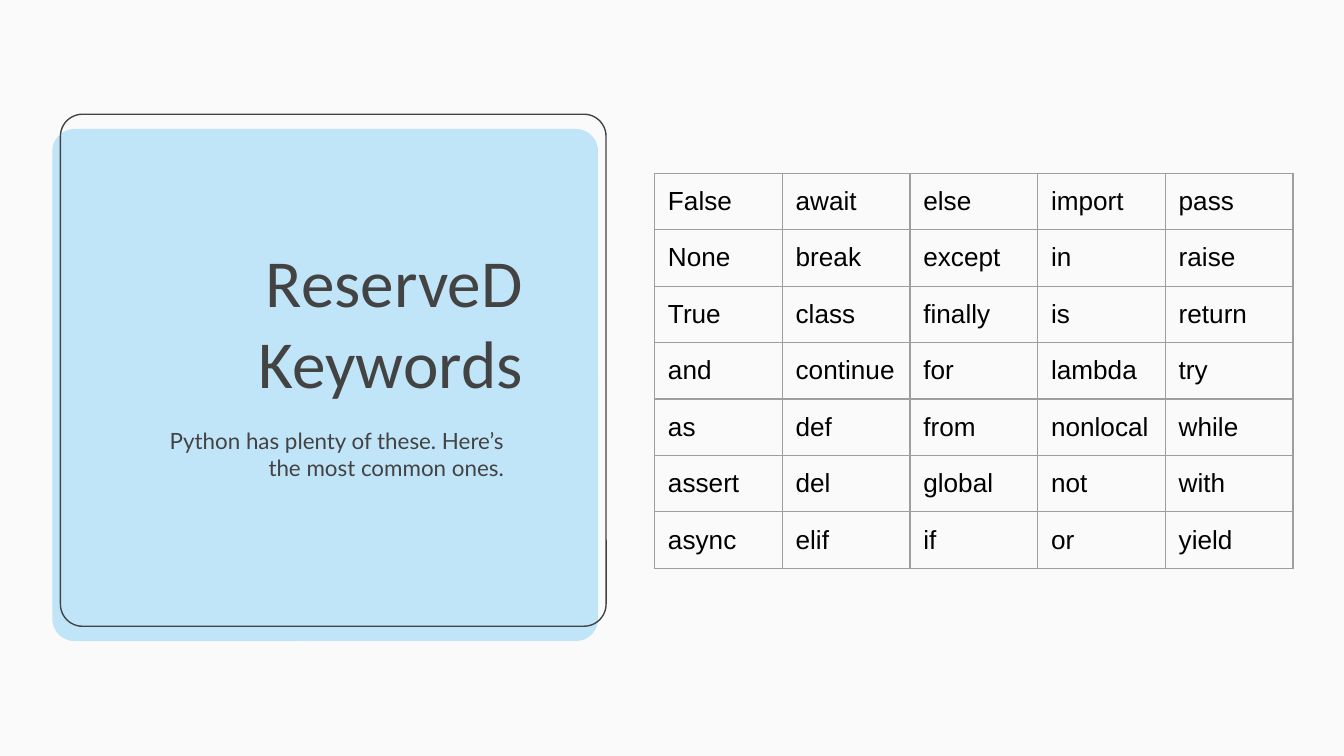
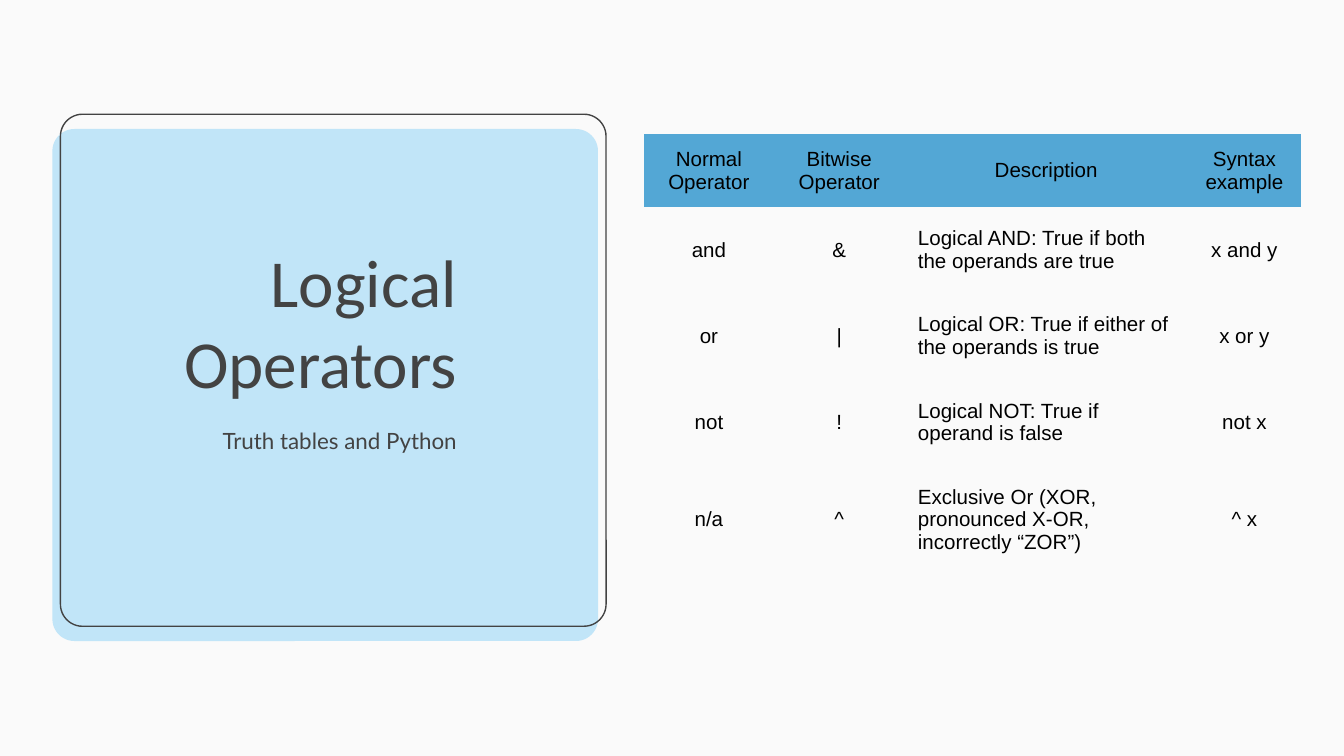
from dataclasses import dataclass

import pptx
import pptx.dml.color
import pptx.enum.shapes
import pptx.enum.text
import pptx.oxml
import pptx.oxml.ns
import pptx.util

Inches = pptx.util.Inches
Pt = pptx.util.Pt
Align = pptx.enum.text.PP_ALIGN
Anchor = pptx.enum.text.MSO_ANCHOR


@dataclass(frozen=True)
class Theme:
    background: str = "FAFAFA"
    panel: str = "C1E5F8"
    ink: str = "434343"
    cell_ink: str = "000000"
    header: str = "53A7D5"
    grid: str = "9E9E9E"
    title_font: str = "Calibri"
    subtitle_font: str = "Lato"
    table_font: str = "Arial"
    title_size: int = 36
    subtitle_size: int = 12
    keyword_size: int = 14
    operator_size: int = 11
    line_width: float = 0.75
    inset: float = 0.1
    row_inset: float = 0.15


THEME = Theme()
SLIDE_WIDTH = 10
SLIDE_HEIGHT = SLIDE_WIDTH * 9 / 16
PANEL_BOX = (0.39, 0.85, 4.12, 3.92)

KEYWORDS = [
    "False await else import pass",
    "None break except in raise",
    "True class finally is return",
    "and continue for lambda try",
    "as def from nonlocal while",
    "assert del global not with",
    "async elif if or yield",
]

OPERATORS = [
    ("Normal Operator", "Bitwise Operator", "Description", "Syntax example"),
    ("and", "&", "Logical AND: True if both the operands are true", "x and y"),
    ("or", "|", "Logical OR: True if either of the operands is true", "x or y"),
    ("not", "!", "Logical NOT: True if operand is false", "not x"),
    ("n/a", "^", "Exclusive Or (XOR, pronounced X-OR, incorrectly “ZOR”)", "^ x"),
]
DESCRIPTION_COLUMN = 2


def rgb(color):
    return pptx.dml.color.RGBColor.from_string(color)


def write(frame, text, font, size, color, align):
    frame.text = text
    frame.word_wrap = True
    paragraph = frame.paragraphs[0]
    paragraph.alignment = align
    for run in paragraph.runs:
        run.font.name = font
        run.font.size = Pt(size)
        run.font.color.rgb = rgb(color)


def set_insets(target, horizontal, vertical):
    target.margin_left = target.margin_right = Inches(horizontal)
    target.margin_top = target.margin_bottom = Inches(vertical)


def set_borders(cell, color=None):
    """Draw all four cell edges in the colour, or hide them without one."""
    paint = (f'<a:solidFill><a:srgbClr val="{color}"/></a:solidFill>'
             if color else "<a:noFill/>")
    properties = cell._tc.get_or_add_tcPr()
    for position, edge in enumerate(("lnL", "lnR", "lnT", "lnB")):
        properties.insert(position, pptx.oxml.parse_xml(
            f'<a:{edge} {pptx.oxml.ns.nsdecls("a")} w="{Pt(THEME.line_width)}">'
            f"{paint}</a:{edge}>"))


def add_panel(slide, box):
    """Place a filled card and an outline shifted up and to the right."""
    left, top, width, height = box
    shift_x, shift_y = 0.06, 0.11

    def add_card(x, y):
        card = slide.shapes.add_shape(
            pptx.enum.shapes.MSO_SHAPE.ROUNDED_RECTANGLE, Inches(x), Inches(y),
            Inches(width - shift_x), Inches(height - shift_y))
        card.adjustments[0] = 0.043
        card.shadow.inherit = False
        return card

    card = add_card(left, top + shift_y)
    card.fill.solid()
    card.fill.fore_color.rgb = rgb(THEME.panel)
    card.line.fill.background()

    outline = add_card(left + shift_x, top)
    outline.fill.background()
    outline.line.color.rgb = rgb(THEME.ink)
    outline.line.width = Pt(THEME.line_width)


def add_heading(slide, box, title, title_span, subtitle, subtitle_span):
    """Set title and subtitle; each span is a left offset in the box and a width."""
    left, top = box[:2]
    text_height, title_drop, subtitle_drop = 1.21, 1.03, 2.23

    def place(shape, span, drop, anchor):
        shape.left, shape.width = Inches(left + span[0]), Inches(span[1])
        shape.top, shape.height = Inches(top + drop), Inches(text_height)
        frame = shape.text_frame
        frame.auto_size = pptx.enum.text.MSO_AUTO_SIZE.NONE
        frame.vertical_anchor = anchor
        set_insets(frame, THEME.inset, THEME.inset)
        return frame

    heading = slide.shapes.title
    heading.element.getparent().append(heading.element)  # above the panel
    write(place(heading, title_span, title_drop, Anchor.BOTTOM), title,
          THEME.title_font, THEME.title_size, THEME.ink, Align.RIGHT)

    caption = slide.shapes.add_textbox(0, 0, 0, 0)
    write(place(caption, subtitle_span, subtitle_drop, Anchor.TOP), subtitle,
          THEME.subtitle_font, THEME.subtitle_size, THEME.ink, Align.RIGHT)


def add_plain_table(slide, left, top, widths, heights):
    table = slide.shapes.add_table(
        len(heights), len(widths), Inches(left), Inches(top),
        Inches(sum(widths)), Inches(sum(heights))).table
    table.first_row = table.horz_banding = False
    for column, width in zip(table.columns, widths):
        column.width = Inches(width)
    for row, height in zip(table.rows, heights):
        row.height = Inches(height)
    return table


def add_keyword_table(slide, left, top):
    rows = [line.split() for line in KEYWORDS]
    table = add_plain_table(slide, left, top, [0.95] * len(rows[0]), [0.42] * len(rows))
    for r, row in enumerate(rows):
        for c, keyword in enumerate(row):
            cell = table.cell(r, c)
            write(cell.text_frame, keyword, THEME.table_font, THEME.keyword_size,
                  THEME.cell_ink, Align.LEFT)
            set_insets(cell, THEME.inset, THEME.inset)
            cell.fill.background()
            set_borders(cell, THEME.grid)


def add_operator_table(slide, left, top):
    table = add_plain_table(slide, left, top, [0.97, 0.97, 2.11, 0.84],
                            [0.26, 0.44, 0.44, 0.44, 0.48])
    for r, row in enumerate(OPERATORS):
        is_header = r == 0
        for c, entry in enumerate(row):
            cell = table.cell(r, c)
            is_prose = c == DESCRIPTION_COLUMN and not is_header
            write(cell.text_frame, entry, THEME.table_font, THEME.operator_size,
                  THEME.cell_ink, Align.LEFT if is_prose else Align.CENTER)
            cell.vertical_anchor = Anchor.MIDDLE
            set_insets(cell, THEME.inset, THEME.inset if is_header else THEME.row_inset)
            cell.fill.solid()
            cell.fill.fore_color.rgb = rgb(THEME.header if is_header else THEME.background)
            set_borders(cell)


def add_panel_slide(deck, **heading):
    slide = deck.slides.add_slide(deck.slide_layouts.get_by_name("Title Only"))
    slide.background.fill.solid()
    slide.background.fill.fore_color.rgb = rgb(THEME.background)
    add_panel(slide, PANEL_BOX)
    add_heading(slide, PANEL_BOX, **heading)
    return slide


def main():
    deck = pptx.Presentation()
    deck.slide_width, deck.slide_height = Inches(SLIDE_WIDTH), Inches(SLIDE_HEIGHT)

    keywords = add_panel_slide(
        deck, title="ReserveD Keywords", title_span=(1.2, 2.4),
        subtitle="Python has plenty of these. Here’s the most common ones.",
        subtitle_span=(0.58, 2.88))
    add_keyword_table(keywords, 4.87, 1.29)

    operators = add_panel_slide(
        deck, title="Logical Operators", title_span=(0.84, 2.27),
        subtitle="Truth tables and Python", subtitle_span=(0.58, 2.53))
    add_operator_table(operators, 4.79, 1)

    deck.save("out.pptx")


if __name__ == "__main__":
    main()
